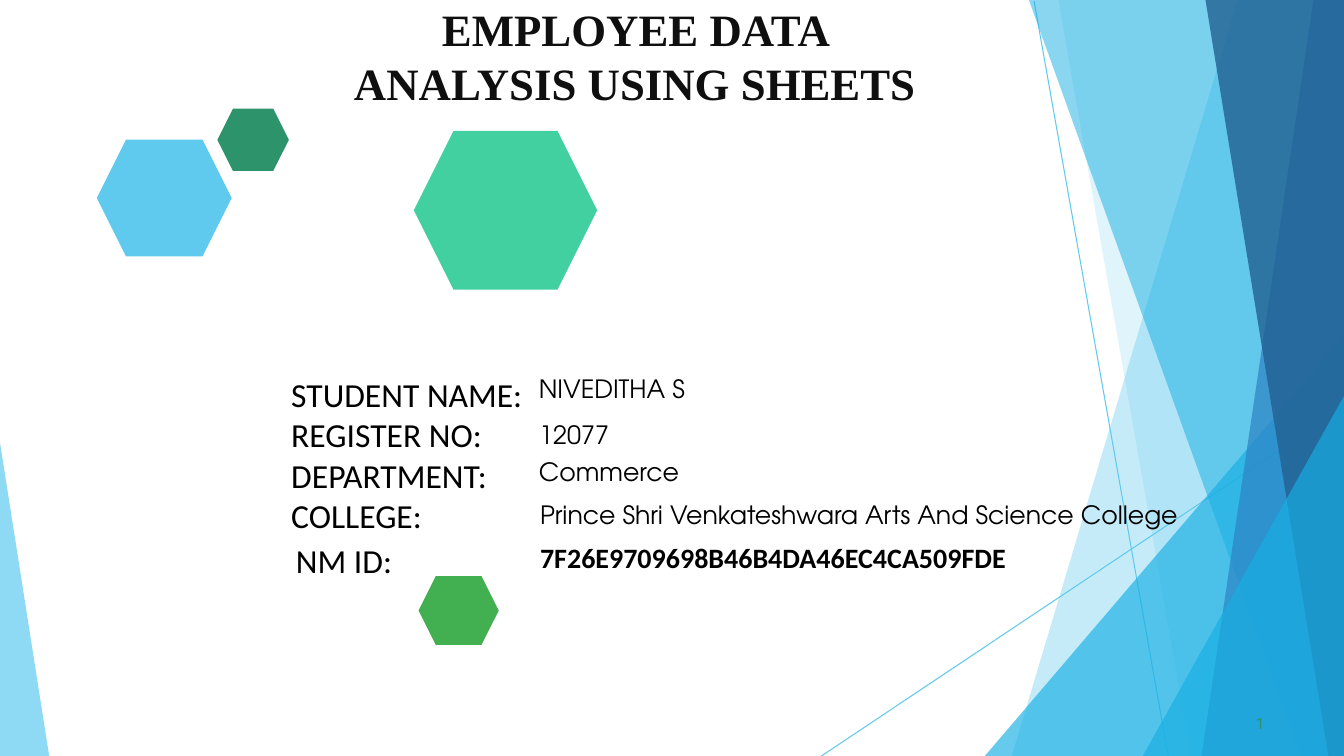
from lxml import etree
from pptx import Presentation
from pptx import util as u
from pptx.dml.color import RGBColor
from pptx.enum import shapes, text
from pptx.oxml import ns

WIDTH, HEIGHT = 33.87, 19.05
SKY, AZURE, BLUE, NAVY = "5FCAEE", "17AFE3", "2D83C3", "226192"
BLACK = "000000"

RAYS = [
    ((26.06, 0.03), (29.44, HEIGHT)),
    ((WIDTH, 10.26), (20.7, HEIGHT)),
]
RIGHT_CORNER = (WIDTH, HEIGHT)
FACETS = [
    (SKY, 36, [(WIDTH, 0), (31.19, 0), (25.5, HEIGHT), RIGHT_CORNER]),
    (SKY, 20, [(WIDTH, 0), (26.67, 0), (30.02, HEIGHT), RIGHT_CORNER]),
    (AZURE, 66, [(WIDTH, 8.46), (24.82, HEIGHT), RIGHT_CORNER]),
    (AZURE, 50, [(WIDTH, 0), (25.93, 0), (32.79, HEIGHT), RIGHT_CORNER]),
    (BLUE, 70, [(WIDTH, 0), (33.1, 0), (30.28, HEIGHT), RIGHT_CORNER]),
    (NAVY, 80, [(WIDTH, 0), (30.38, 0), (33.48, HEIGHT), RIGHT_CORNER]),
    (AZURE, 66, [(WIDTH, 9.98), (28.8, HEIGHT), RIGHT_CORNER]),
    (SKY, 70, [(0, 11.15), (0, HEIGHT), (1.24, HEIGHT)]),
]
HEXAGONS = [
    (SKY, 2.44, 3.52, 3.4, 2.94),
    ("2D936B", 5.48, 2.74, 1.8, 1.57),
    ("42D0A1", 10.43, 3.3, 4.62, 4),
    ("42AF51", 10.55, 14.52, 2.02, 1.73),
]
TITLE = "EMPLOYEE DATA ANALYSIS USING SHEETS"
LABELS = ["STUDENT NAME:", "REGISTER NO:", "DEPARTMENT:", "COLLEGE:"]
VALUES = [
    ("NIVEDITHA S", 13.33, 9.27),
    ("12077", 13.34, 10.44),
    ("Commerce", 13.33, 11.38),
    ("Prince Shri Venkateshwara Arts And Science College", 13.36, 12.47),
]


def color(target, value):
    target.rgb = RGBColor.from_string(value)


def fill(shape, value, opacity=100):
    shape.shadow.inherit = False
    shape.fill.solid()
    color(shape.fill.fore_color, value)
    shape.line.fill.background()
    if opacity < 100:
        tint = shape.fill._xPr.find(".//" + ns.qn("a:srgbClr"))
        etree.SubElement(tint, ns.qn("a:alpha"), val=str(opacity * 1000))


def add_ray(slide, start, end):
    ray = slide.shapes.add_connector(
        shapes.MSO_CONNECTOR.STRAIGHT, *[u.Cm(value) for value in start + end])
    color(ray.line.color, SKY)
    ray.line.width = u.Pt(0.75)
    etree.SubElement(ray._element.spPr, ns.qn("a:effectLst"))


def add_facet(slide, value, opacity, points):
    corners = [(u.Cm(x), u.Cm(y)) for x, y in points]
    builder = slide.shapes.build_freeform(*corners[0])
    builder.add_line_segments(corners[1:], close=True)
    fill(builder.convert_to_shape(), value, opacity)


def add_text(slide, lines, box, font, size, value=BLACK, bold=False, inset=True):
    shape = slide.shapes.add_textbox(*[u.Cm(length) for length in box])
    frame = shape.text_frame
    frame.word_wrap = True
    if not inset:
        frame.margin_left = frame.margin_right = 0
        frame.margin_top = frame.margin_bottom = 0
    frame.text = "\n".join(lines)
    for paragraph in frame.paragraphs:
        for run in paragraph.runs:
            run.font.name = font
            run.font.size = u.Pt(size)
            run.font.bold = bold
            color(run.font.color, value)
    return frame


def main():
    presentation = Presentation()
    presentation.slide_width, presentation.slide_height = u.Cm(WIDTH), u.Cm(HEIGHT)
    slide = presentation.slides.add_slide(presentation.slide_layouts[6])

    for start, end in RAYS:
        add_ray(slide, start, end)
    for value, opacity, points in FACETS:
        add_facet(slide, value, opacity, points)
    for value, *box in HEXAGONS:
        hexagon = slide.shapes.add_shape(
            shapes.MSO_SHAPE.HEXAGON, *[u.Cm(length) for length in box])
        fill(hexagon, value)

    title = add_text(slide, [TITLE], (8.6, 0.05, 14.8, 4.1),
                     "Times New Roman", 32, "0F0F0F", bold=True, inset=False)
    title.paragraphs[0].alignment = text.PP_ALIGN.CENTER
    title.paragraphs[0].space_before = u.Pt(1.3)

    add_text(slide, ["1"], (31.65, 18, 0.4, 0.5), "Roboto", 11, "2D936B", inset=False)
    add_text(slide, LABELS, (7.09, 9.3, 6.6, 4.2), "Calibri", 24)
    for value, left, top in VALUES:
        add_text(slide, [value], (left, top, 19, 1.02), "TeX Gyre Adventor", 18)
    add_text(slide, ["NM ID:"], (7.21, 13.49, 3.15, 1.27), "Calibri", 24)
    add_text(slide, ["7F26E9709698B46B4DA46EC4CA509FDE"],
             (13.36, 13.49, 12.93, 1.12), "Calibri", 20, bold=True)

    presentation.save("out.pptx")


if __name__ == "__main__":
    main()
